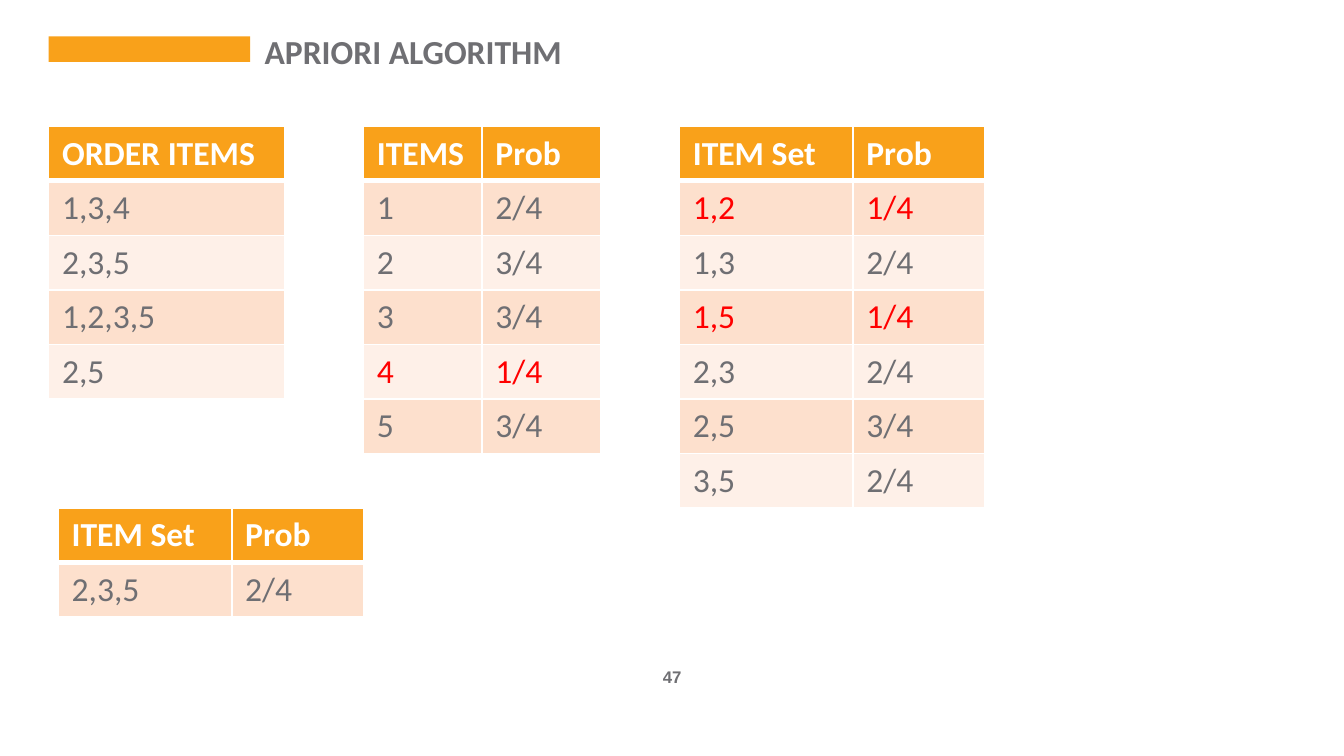
from lxml.etree import SubElement
from pptx import Presentation
from pptx.dml.color import RGBColor
from pptx.enum.shapes import MSO_SHAPE
from pptx.enum.text import MSO_ANCHOR, MSO_AUTO_SIZE, PP_ALIGN
from pptx.oxml.ns import qn
from pptx.util import Cm, Pt

COLORS = {
    "accent": "F9A11A",
    "text": "6F6F73",
    "rejected": "FF0000",
    "white": "FFFFFF",
    "band_dark": "FDE0CD",
    "band_light": "FEF0E8",
}
ROW_HEIGHT = 1.03
TOP = 2.39
PAIR_WIDTHS = [3.28, 2.5]
REJECTED_PROB = "1/4"


def color(name):
    """Return the named palette colour."""
    return RGBColor.from_string(COLORS[name])


def write(frame, text, size=18, font="Calibri", fill="text", bold=False,
          align=PP_ALIGN.LEFT):
    """Put one formatted paragraph into a text frame."""
    paragraph = frame.paragraphs[0]
    paragraph.alignment = align
    run = paragraph.add_run()
    run.text = text
    run.font.size = Pt(size)
    run.font.name = font
    run.font.bold = bold
    run.font.color.rgb = color(fill)


def add_heading(slide, text):
    """Place the slide title beside its accent bar."""
    bar = slide.shapes.add_shape(
        MSO_SHAPE.RECTANGLE, Cm(0.92), Cm(0.69), Cm(3.81), Cm(0.48))
    bar.shadow.inherit = False
    bar.fill.solid()
    bar.fill.fore_color.rgb = color("accent")
    bar.line.fill.background()

    title = slide.shapes.title
    title.left, title.top = Cm(4.75), Cm(0.54)
    title.width, title.height = Cm(19.28), Cm(0.86)
    frame = title.text_frame
    frame.auto_size = MSO_AUTO_SIZE.NONE
    frame.vertical_anchor = MSO_ANCHOR.MIDDLE
    frame.margin_left = frame.margin_right = Cm(0.25)
    frame.margin_top = frame.margin_bottom = Cm(0.25)
    write(frame, text, bold=True)


def add_page_number(slide, number):
    """Place the page number at the bottom centre."""
    box = slide.shapes.add_textbox(Cm(10.8), Cm(12.47), Cm(3.81), Cm(0.64))
    box.text_frame.word_wrap = True
    write(box.text_frame, number, size=9, font="Arial", bold=True,
          align=PP_ALIGN.CENTER)


def set_borders(cell, bottom, top):
    """Draw white borders round a cell, widths in points."""
    properties = cell._tc.get_or_add_tcPr()
    for side, width in {"L": 1, "R": 1, "T": top, "B": bottom}.items():
        line = SubElement(properties, qn(f"a:ln{side}"), w=str(Pt(width)))
        paint = SubElement(line, qn("a:solidFill"))
        SubElement(paint, qn("a:srgbClr"), val=COLORS["white"])


def add_item_table(slide, left, top, widths, header, records):
    """Add a banded table, with rejected item sets in red."""
    rows = [header, *records]
    table = slide.shapes.add_table(
        len(rows), len(widths), Cm(left), Cm(top),
        Cm(sum(widths)), Cm(ROW_HEIGHT * len(rows))).table
    for column, width in zip(table.columns, widths):
        column.width = Cm(width)
    for index, values in enumerate(rows):
        table.rows[index].height = Cm(ROW_HEIGHT)
        is_header = index == 0
        if is_header:
            fill, ink = "accent", "white"
        else:
            fill = "band_dark" if index % 2 else "band_light"
            ink = "rejected" if values[-1] == REJECTED_PROB else "text"
        for cell, value in zip(table.rows[index].cells, values):
            set_borders(cell, bottom=3 if is_header else 1,
                        top=3 if index == 1 else 1)
            cell.fill.solid()
            cell.fill.fore_color.rgb = color(fill)
            write(cell.text_frame, value, fill=ink, bold=is_header)


def main():
    """Build the slide and save it."""
    deck = Presentation()
    deck.slide_width, deck.slide_height = Cm(25.4), Cm(14.29)
    slide = deck.slides.add_slide(deck.slide_layouts[5])

    add_heading(slide, "APRIORI ALGORITHM")
    add_item_table(slide, 0.92, TOP, [4.47], ["ORDER ITEMS"],
                   [["1,3,4"], ["2,3,5"], ["1,2,3,5"], ["2,5"]])
    add_item_table(slide, 6.87, TOP, [2.24, 2.24], ["ITEMS", "Prob"],
                   [["1", "2/4"], ["2", "3/4"], ["3", "3/4"],
                    ["4", "1/4"], ["5", "3/4"]])
    add_item_table(slide, 12.84, TOP, PAIR_WIDTHS, ["ITEM Set", "Prob"],
                   [["1,2", "1/4"], ["1,3", "2/4"], ["1,5", "1/4"],
                    ["2,3", "2/4"], ["2,5", "3/4"], ["3,5", "2/4"]])
    add_item_table(slide, 1.1, 9.6, PAIR_WIDTHS, ["ITEM Set", "Prob"],
                   [["2,3,5", "2/4"]])
    add_page_number(slide, "47")
    deck.save("out.pptx")


if __name__ == "__main__":
    main()
